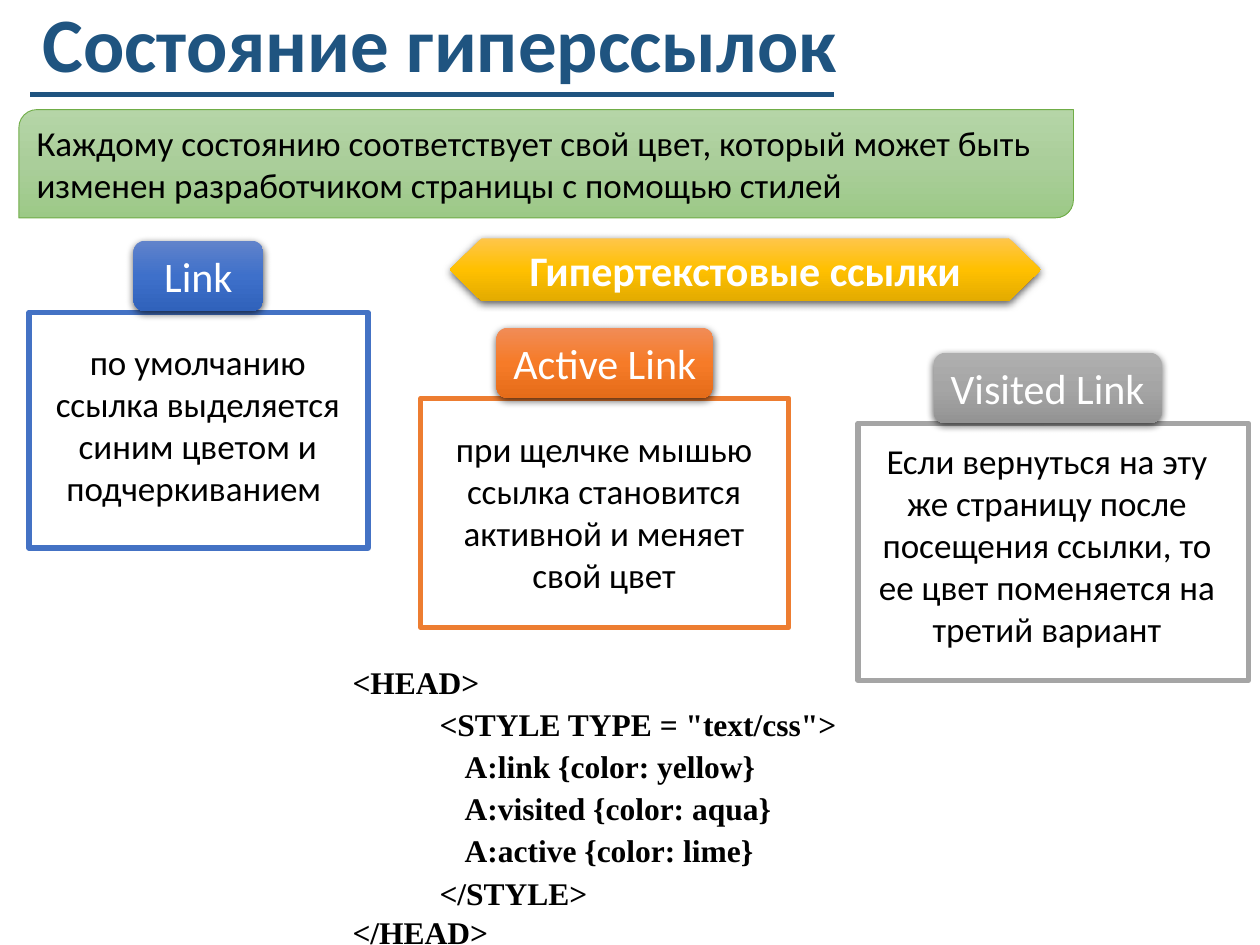
import pptx
import pptx.dml.color
import pptx.enum.shapes
import pptx.enum.text
import pptx.oxml
import pptx.util
from dataclasses import dataclass

Inches = pptx.util.Inches
Pt = pptx.util.Pt
SHAPES = pptx.enum.shapes.MSO_SHAPE
ALIGN = pptx.enum.text.PP_ALIGN
ANCHOR = pptx.enum.text.MSO_ANCHOR
DRAWING_NS = 'xmlns:a="http://schemas.openxmlformats.org/drawingml/2006/main"'


@dataclass(frozen=True)
class Theme:
    body_font: str = "Calibri"
    code_font: str = "Times New Roman"
    title_size: int = 44
    label_size: int = 24
    body_size: int = 20
    code_size: int = 18
    title: str = "1F5480"
    black: str = "000000"
    white: str = "FFFFFF"
    green_line: str = "70AD47"
    blue_line: str = "4472C4"
    orange_line: str = "ED7D31"
    gray_line: str = "A5A5A5"
    green: tuple = ("B5D5A7", "AACE9A", "9CC987")
    gold: tuple = ("FFC64B", "FFC000", "E3AB00")
    blue: tuple = ("6183CB", "3E70CA", "3062BB")
    orange: tuple = ("F18C57", "F67B28", "E56C19")
    gray: tuple = ("AFAFAF", "A5A5A5", "939393")


THEME = Theme()


def rgb(value):
    return pptx.dml.color.RGBColor.from_string(value)


def write_text(frame, text, size=THEME.body_size, font=THEME.body_font, color=THEME.black,
               bold=False, align=ALIGN.LEFT, anchor=ANCHOR.TOP, wrap=True, spacing=None):
    frame.word_wrap = wrap
    frame.vertical_anchor = anchor
    for index, line in enumerate(text.split("\n")):
        para = frame.paragraphs[0] if index == 0 else frame.add_paragraph()
        para.alignment = align
        para.line_spacing = spacing
        span = para.add_run()
        span.text = line
        span.font.size = Pt(size)
        span.font.name = font
        span.font.bold = bold
        span.font.color.rgb = rgb(color)


class SlideBuilder:
    def __init__(self, theme, page):
        self.theme = theme
        self.page = page

    def text(self, place, text, parent=None, **style):
        box = (parent or self.page).shapes.add_textbox(*map(Inches, place))
        write_text(box.text_frame, text, **style)
        return box

    def shape(self, kind, place, line=None, width=1, parent=None):
        shape = (parent or self.page).shapes.add_shape(kind, *map(Inches, place))
        shape.shadow.inherit = False
        shape.fill.background()
        if line:
            shape.line.color.rgb = rgb(line)
            shape.line.width = Pt(width)
        else:
            shape.line.fill.background()
        return shape

    def gradient(self, shape, colors):
        shape.fill.gradient()
        shape.fill.gradient_angle = 270
        stops = shape.fill.gradient_stops
        stops[0].color.rgb = rgb(colors[0])
        stops[1].color.rgb = rgb(colors[2])
        stops[0].position, stops[1].position = 0, 1
        middle = pptx.oxml.parse_xml(
            f'<a:gs {DRAWING_NS} pos="50000"><a:srgbClr val="{colors[1]}"/></a:gs>')
        shape.fill._fill._gradFill.gsLst.insert(1, middle)

    def shadow(self, shape):
        effects = shape._element.spPr.find(pptx.oxml.ns.qn("a:effectLst"))
        effects.append(pptx.oxml.parse_xml(
            f'<a:outerShdw {DRAWING_NS} blurRad="{Pt(4.5)}" dist="{Pt(1.5)}" dir="5400000" '
            f'algn="ctr" rotWithShape="0"><a:srgbClr val="{self.theme.black}">'
            '<a:alpha val="63000"/></a:srgbClr></a:outerShdw>'))

    def badge(self, kind, place, text, colors, bold=False, wrap=True, parent=None):
        shape = self.shape(kind, place, parent=parent)
        self.gradient(shape, colors)
        self.shadow(shape)
        write_text(shape.text_frame, text, size=self.theme.label_size, color=self.theme.white,
                   bold=bold, align=ALIGN.CENTER, anchor=ANCHOR.MIDDLE, wrap=wrap)
        return shape

    def rule(self, left, top, right):
        line = self.page.shapes.add_connector(
            pptx.enum.shapes.MSO_CONNECTOR.STRAIGHT, *map(Inches, (left, top, right, top)))
        line.line.color.rgb = rgb(self.theme.title)
        line.line.width = Pt(3)
        line._element.spPr.append(pptx.oxml.parse_xml(f"<a:effectLst {DRAWING_NS}/>"))

    def card(self, label, label_place, text, text_place, frame_place, line, colors):
        group = self.page.shapes.add_group_shape()
        self.text(text_place, text, parent=group, align=ALIGN.CENTER)
        self.shape(SHAPES.RECTANGLE, frame_place, line, 3, group)
        self.badge(SHAPES.ROUNDED_RECTANGLE, label_place, label, colors, wrap=False, parent=group)

    def code(self, place, lines):
        box = self.text(place, "\n".join(text for indent, text in lines),
                        size=self.theme.code_size, font=self.theme.code_font, bold=True,
                        align=ALIGN.JUSTIFY, spacing=1.07)
        paras = box.text_frame.paragraphs
        for para, (indent, text) in zip(paras, lines):
            para.space_after = Pt(1)
            para._p.get_or_add_pPr().set("indent", str(Inches(indent)))
        paras[-1].line_spacing = 1.0
        paras[-1].alignment = ALIGN.LEFT


def main():
    deck = pptx.Presentation()
    deck.slide_width, deck.slide_height = Inches(10), Inches(7.5)
    builder = SlideBuilder(THEME, deck.slides.add_slide(deck.slide_layouts[6]))

    banner = builder.shape(SHAPES.ROUND_2_DIAG_RECTANGLE, (0.15, 0.87, 8.37, 0.86),
                           THEME.green_line, 0.5)
    builder.gradient(banner, THEME.green)
    write_text(banner.text_frame, "Каждому состоянию соответствует свой цвет, который может быть "
               "изменен разработчиком страницы с помощью стилей", anchor=ANCHOR.MIDDLE)
    builder.text((0.24, 0, 7.54, 1.03), "Состояние гиперссылок", size=THEME.title_size,
                 color=THEME.title, bold=True, spacing=0.9)
    builder.rule(0.24, 0.75, 6.62)
    heading = builder.badge(SHAPES.LEFT_RIGHT_ARROW, (3.57, 1.89, 4.69, 0.5),
                            "Гипертекстовые ссылки", THEME.gold, bold=True)
    heading.adjustments[0], heading.adjustments[1] = 0.99, 0.51

    cards = [
        ("Link", (1.06, 1.91, 1.03, 0.56),
         "по умолчанию ссылка выделяется синим цветом и подчеркиванием ",
         (0.32, 2.65, 2.5, 1.45), (0.23, 2.48, 2.69, 1.87), THEME.blue_line, THEME.blue),
        ("Active Link", (3.94, 2.6, 1.72, 0.56),
         "при щелчке мышью ссылка становится активной и меняет свой цвет",
         (3.38, 3.34, 2.83, 1.45), (3.34, 3.16, 2.92, 1.82), THEME.orange_line, THEME.orange),
        ("Visited Link", (7.41, 2.8, 1.81, 0.56),
         "Если вернуться на эту же страницу после посещения ссылки, "
         "то ее цвет поменяется на третий вариант",
         (6.81, 3.44, 3, 1.78), (6.81, 3.36, 3.1, 2.04), THEME.gray_line, THEME.gray),
    ]
    for card in cards:
        builder.card(*card)

    builder.code((2.7, 5.19, 4.2, 2.35), [
        (0, "<HEAD>"),
        (0.69, '<STYLE TYPE = "text/css">'),
        (0.89, "A:link {color: yellow}"),
        (0.89, "A:visited {color: aqua}"),
        (0.89, "A:active {color: lime}"),
        (0.69, "</STYLE>"),
        (0, "</HEAD>"),
    ])
    deck.save("out.pptx")


if __name__ == "__main__":
    main()
